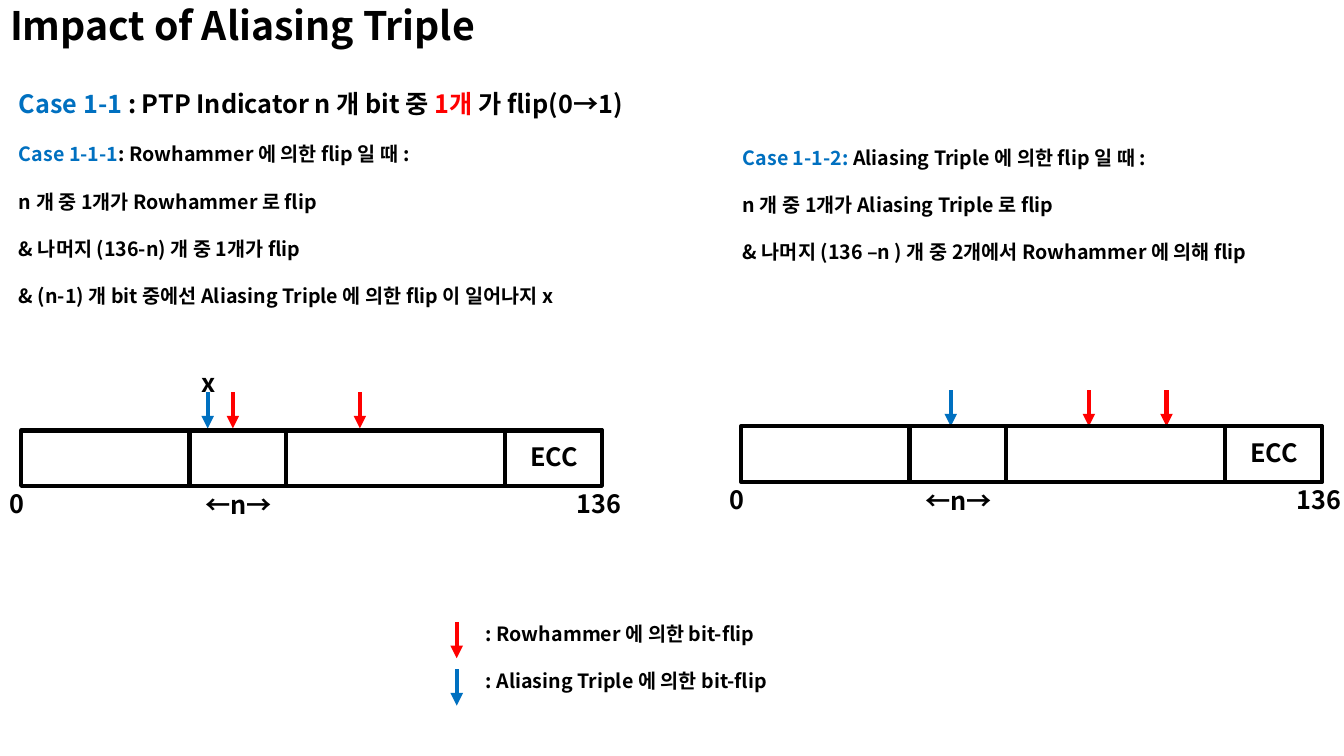
import lxml.etree
import pptx
import pptx.dml.color
import pptx.enum.shapes
import pptx.enum.text
import pptx.oxml.ns
import pptx.util

Inches = pptx.util.Inches
ALIGN = pptx.enum.text.PP_ALIGN
COLORS = {"black": "000000", "blue": "0070C0", "red": "FF0000"}


def add_xml(parent, tag, **attributes):
    return lxml.etree.SubElement(parent, pptx.oxml.ns.qn(tag), **attributes)


class SlideBuilder:
    font_name = "Noto Sans CJK KR"
    line_width = pptx.util.Pt(3)

    def __init__(self, presentation):
        self.slide = presentation.slides.add_slide(presentation.slide_layouts[5])

    def color(self, name):
        return pptx.dml.color.RGBColor.from_string(COLORS[name])

    def fill_paragraph(self, paragraph, runs, size, **formats):
        """Fill a paragraph with (text, colour name) runs."""
        for name, value in formats.items():
            setattr(paragraph, name, value)
        for text, color in runs:
            run = paragraph.add_run()
            run.text = text
            font_formats = {"size": pptx.util.Pt(size), "bold": True, "name": self.font_name}
            for name, value in font_formats.items():
                setattr(run.font, name, value)
            run.font.color.rgb = self.color(color)
            add_xml(run.font._element, "a:ea", typeface=self.font_name)

    def title(self, text, left, top, width, height):
        shape = self.slide.shapes.title
        place = {"left": left, "top": top, "width": width, "height": height}
        for name, value in place.items():
            setattr(shape, name, Inches(value))
        frame = shape.text_frame
        frame.auto_size = pptx.enum.text.MSO_AUTO_SIZE.NONE
        frame.vertical_anchor = pptx.enum.text.MSO_ANCHOR.MIDDLE
        self.fill_paragraph(frame.paragraphs[0], [(text, "black")], 28,
                            alignment=ALIGN.LEFT, line_spacing=0.9)

    def text(self, lines, left, top, width, height, indent=0, **formats):
        """Add a text box; each line is a (size, runs) pair."""
        box = self.slide.shapes.add_textbox(*map(Inches, (left, top, width, height)))
        frame = box.text_frame
        frame.word_wrap = True
        frame.auto_size = pptx.enum.text.MSO_AUTO_SIZE.SHAPE_TO_FIT_TEXT
        for index, (size, runs) in enumerate(lines):
            paragraph = frame.add_paragraph() if index else frame.paragraphs[0]
            if indent:
                paragraph.level = 1
                paragraph._p.get_or_add_pPr().set("marL", str(Inches(indent)))
            self.fill_paragraph(paragraph, runs, size, **formats)

    def label(self, text, left, top, width, size=18, height=0.4, alignment=ALIGN.LEFT):
        self.text([(size, [(text, "black")])], left, top, width, height, alignment=alignment)

    def rectangle(self, left, top, width, height):
        shape = self.slide.shapes.add_shape(
            pptx.enum.shapes.MSO_SHAPE.RECTANGLE, *map(Inches, (left, top, width, height)))
        shape.shadow.inherit = False
        shape.fill.background()
        shape.line.color.rgb = self.color("black")
        shape.line.width = self.line_width

    def down_arrow(self, x, top, color, length=0.36):
        connector = self.slide.shapes.add_connector(
            pptx.enum.shapes.MSO_CONNECTOR.STRAIGHT,
            *map(Inches, (x, top, x, top + length)))
        connector.line.color.rgb = self.color(color)
        connector.line.width = self.line_width
        add_xml(connector.line._get_or_add_ln(), "a:tailEnd", type="triangle")
        add_xml(connector._element.spPr, "a:effectLst")

    def bit_bar(self, left, top, arrow_top, arrows):
        """Draw a 136-bit word with its n-bit field, ECC field and flip arrows."""
        for x, color in arrows:
            self.down_arrow(x, arrow_top, color)
        for offset, width in ((0, 5.76), (1.67, 0.96), (4.8, 0.96)):
            self.rectangle(left + offset, top, width, 0.55)
        self.label("0", left - 0.21, top + 0.53, 0.43)
        self.label("136", left + 5.41, top + 0.53, 0.7)
        self.label("←n→", left + 1.59, top + 0.54, 1.13, alignment=ALIGN.CENTER)
        self.label("ECC", left + 4.72, top + 0.06, 1.13, alignment=ALIGN.CENTER)


def main():
    presentation = pptx.Presentation()
    presentation.slide_width = Inches(13.33)
    presentation.slide_height = Inches(7.5)
    builder = SlideBuilder(presentation)

    builder.title("Impact of Aliasing Triple", 0, 0, 13.33, 0.55)
    rowhammer_case = [
        (18, [("Case 1-1 ", "blue"), (": PTP Indicator n 개 bit 중 ", "black"),
              ("1개", "red"), (" 가 flip(0→1)", "black")]),
        (14, [("Case 1-1-1", "blue"), (": Rowhammer 에 의한 flip 일 때 :", "black")]),
        (14, [("n 개 중 1개가 Rowhammer 로 flip", "black")]),
        (14, [("& 나머지 (136-n) 개 중 1개가 flip", "black")]),
        (14, [("& (n-1) 개 bit 중에선 Aliasing Triple 에 의한 flip 이 일어나지 x", "black")]),
    ]
    aliasing_case = [
        (14, [("Case 1-1-2: ", "blue"), ("Aliasing Triple 에 의한 flip 일 때 :", "black")]),
        (14, [("n 개 중 1개가 Aliasing Triple 로 flip", "black")]),
        (14, [("& 나머지 (136 –n ) 개 중 2개에서 Rowhammer 에 의해 flip", "black")]),
    ]
    builder.text(rowhammer_case, 0.09, 0.53, 7.86, 2.52, line_spacing=2.0)
    builder.text(aliasing_case, 6.77, 1.16, 6.24, 1.82, indent=0.5, line_spacing=2.0)

    builder.bit_bar(0.21, 4.27, 3.89, [(2.31, "red"), (3.57, "red"), (2.06, "blue")])
    builder.label("x", 1.9, 3.59, 0.27)
    builder.bit_bar(7.35, 4.23, 3.87, [(10.8, "red"), (11.57, "red"), (9.43, "blue")])

    legend = [("red", ": Rowhammer 에 의한 bit-flip"),
              ("blue", ": Aliasing Triple 에 의한 bit-flip")]
    for row, (color, meaning) in enumerate(legend):
        top = 6.12 + 0.47 * row
        builder.down_arrow(4.53, top + 0.05, color)
        builder.label(meaning, 4.72, top, 3.89, size=14, height=0.34)

    presentation.save("out.pptx")


if __name__ == "__main__":
    main()
